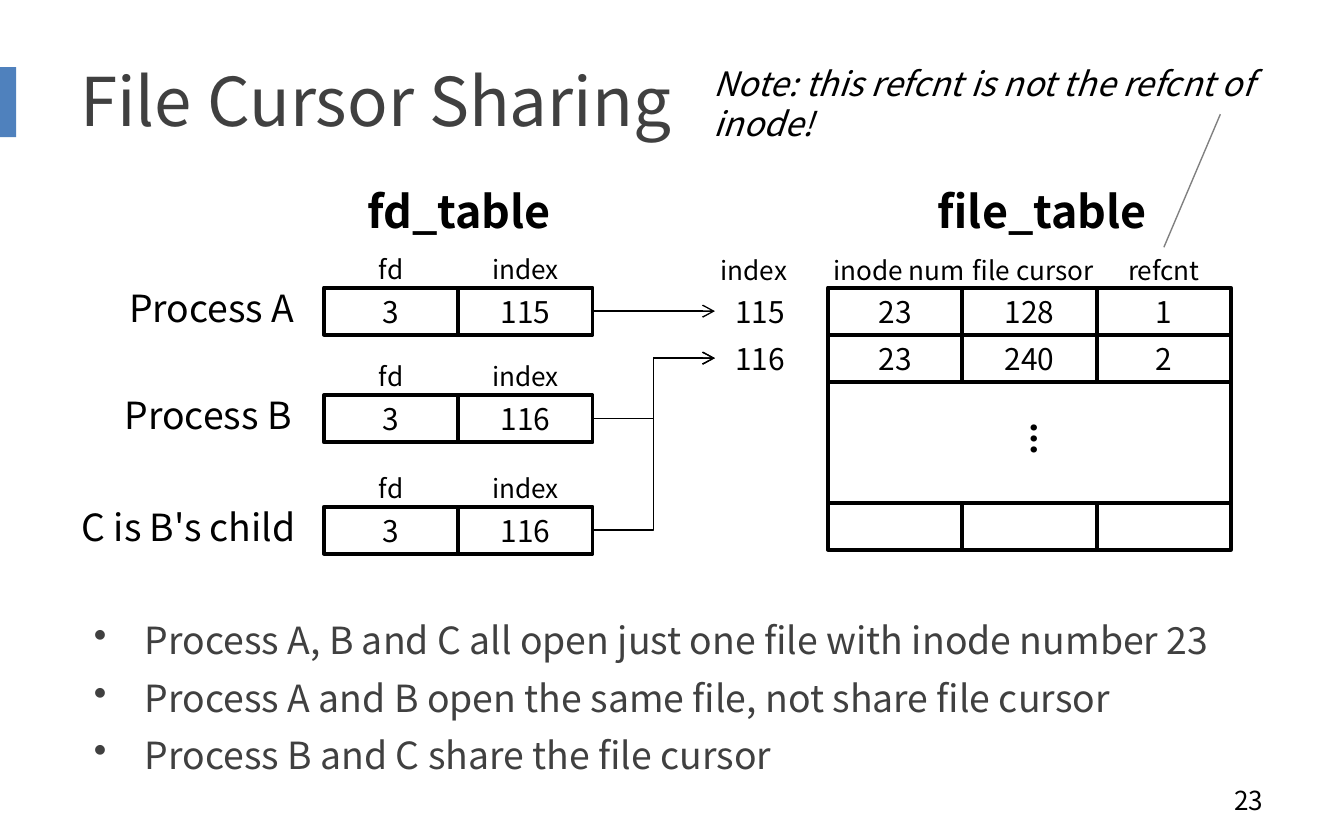
from lxml.etree import SubElement
from pptx import Presentation
from pptx.dml.color import RGBColor
from pptx.enum.shapes import MSO_CONNECTOR, MSO_SHAPE
from pptx.enum.text import MSO_ANCHOR, PP_ALIGN
from pptx.oxml.ns import qn
from pptx.util import Inches, Pt

BLACK = RGBColor(0x00, 0x00, 0x00)
DARK = RGBColor(0x40, 0x40, 0x40)
GRAY = RGBColor(0x80, 0x80, 0x80)
BLUE = RGBColor(0x4F, 0x81, 0xBD)
LEFT, CENTER, RIGHT = PP_ALIGN.LEFT, PP_ALIGN.CENTER, PP_ALIGN.RIGHT

WIDTH, HEIGHT = Inches(10), Inches(6.25)
COLUMNS, ROWS = 10, 25      # slide grid
CELL_W, CELL_H = 1, 1.4     # one table cell, in columns and rows
HEADER_H = 1.36


class Diagram:
    """Holds the style and the slide; lengths are grid columns and rows."""

    font = "Noto Sans CJK SC"

    def __init__(self, slide):
        self.slide = slide

    def place(self, col, row):
        return round(col * WIDTH / COLUMNS), round(row * HEIGHT / ROWS)

    def box(self, col, row, cols, rows):
        return *self.place(col, row), *self.place(cols, rows)

    def set_text(self, paragraph, text, align=LEFT, **formats):
        paragraph.text = text
        paragraph.alignment = align
        style = {"name": self.font, "size": Pt(16)} | formats
        color = style.pop("color", BLACK)
        for name, value in style.items():
            setattr(paragraph.font, name, value)
        paragraph.font.color.rgb = color

    def text(self, text, col, row, cols, rows, size, align=LEFT,
             anchor=MSO_ANCHOR.TOP, **formats):
        area = self.slide.shapes.add_textbox(*self.box(col, row, cols, rows))
        area.text_frame.word_wrap = True
        area.text_frame.vertical_anchor = anchor
        self.set_text(area.text_frame.paragraphs[0], text, align, size=Pt(size), **formats)
        return area

    def bullets(self, lines, col, row, cols, rows):
        area = self.slide.shapes.add_textbox(*self.box(col, row, cols, rows))
        frame = area.text_frame
        frame.word_wrap = True
        for number, line in enumerate(lines):
            paragraph = frame.add_paragraph() if number else frame.paragraphs[0]
            properties = paragraph._p.get_or_add_pPr()
            properties.set("marL", str(Inches(0.38)))
            properties.set("indent", str(-Inches(0.38)))
            SubElement(properties, qn("a:buChar"), char="•")
            if number:
                paragraph.space_before = Pt(7)
            self.set_text(paragraph, line, size=Pt(20), color=DARK)

    def rectangle(self, col, row, cols, rows, text="", fill=None, border=None):
        shape = self.slide.shapes.add_shape(
            MSO_SHAPE.RECTANGLE, *self.box(col, row, cols, rows))
        shape.shadow.inherit = False
        if fill is None:
            shape.fill.background()
        else:
            shape.fill.solid()
            shape.fill.fore_color.rgb = fill
        if border is None:
            shape.line.fill.background()
        else:
            shape.line.color.rgb = border
            shape.line.width = Pt(2)
        if text:
            shape.text_frame.vertical_anchor = MSO_ANCHOR.MIDDLE
            self.set_text(shape.text_frame.paragraphs[0], text, CENTER)
        return shape

    def cells(self, values, col, row):
        return [self.rectangle(col + i * CELL_W, row, CELL_W, CELL_H, value, border=BLACK)
                for i, value in enumerate(values)]

    def connector(self, kind, start, end, color, width):
        line = self.slide.shapes.add_connector(kind, *self.place(*start), *self.place(*end))
        line.line.color.rgb = color
        line.line.width = Pt(width)
        SubElement(line._element.spPr, qn("a:effectLst"))
        return line

    def line(self, start, end, color, width):
        return self.connector(MSO_CONNECTOR.STRAIGHT, start, end, color, width)

    def arrow(self, source, target):
        arrow = self.connector(MSO_CONNECTOR.ELBOW, (0, 0), (1, 1), BLACK, 0.75)
        arrow.begin_connect(source, 3)
        arrow.end_connect(target, 1)
        SubElement(arrow._element.spPr.get_or_add_ln(), qn("a:tailEnd"), type="arrow")


def main():
    deck = Presentation()
    deck.slide_width, deck.slide_height = WIDTH, HEIGHT
    diagram = Diagram(deck.slides.add_slide(deck.slide_layouts[6]))

    # Title, accent bar and slide number
    diagram.rectangle(-0.06, 2, 0.18, 2.08, fill=BLUE)
    diagram.text("File Cursor Sharing", 0.5, 1, 9, 3.92, 36,
                 anchor=MSO_ANCHOR.MIDDLE, color=DARK)
    diagram.text("23", 7.17, 23.16, 2.33, 1.32, 14, RIGHT, MSO_ANCHOR.MIDDLE)

    # Table names
    for name, col in (("fd_table", 2.08), ("file_table", 6.42)):
        diagram.text(name, col, 5.26, 2.67, 2, 24, CENTER, bold=True)

    # Open file table: header, filled rows, gap and last row
    file_col, top = 6.16, 8.56
    last_row = top + 6.4
    file_rows = {"115": ("23", "128", "1"), "116": ("23", "240", "2")}
    for header, col, cols, align in (("index", 5.23, 0.76, CENTER),
                                     ("inode num", 6.1, 1.22, LEFT),
                                     ("file cursor", 7.14, 1.18, LEFT),
                                     ("refcnt", 8.07, 1.18, CENTER)):
        diagram.text(header, col, top - 1.2, cols, HEADER_H, 14, align)
    entries = {}
    for i, (index, values) in enumerate(file_rows.items()):
        row = top + i * CELL_H
        entries[index] = diagram.rectangle(5.32, row, 0.67, CELL_H, index)
        diagram.cells(values, file_col, row)
    diagram.cells(("", "", ""), file_col, last_row)
    for col in (file_col, file_col + 3 * CELL_W):
        diagram.line((col, top + 2 * CELL_H), (col, last_row), BLACK, 2)
    diagram.text("...", 7.53, 12.36, 0.49, 1.6, 18, bold=True).rotation = 90

    # Descriptor table of each process, with an arrow to its file entry
    fd_col = 2.41
    for process, index, row, right in (("Process A", "115", top, 2.29),
                                       ("Process B", "116", 11.76, 2.27),
                                       ("C is B's child", "116", 15.08, 2.3)):
        diagram.text(process, right - 1.97, row - 0.28, 1.97, 1.76, 20, RIGHT)
        for i, header in enumerate(("fd", "index")):
            diagram.text(header, fd_col + 0.12 + i * CELL_W, row - 1.22,
                         0.76, HEADER_H, 14, CENTER)
        index_cell = diagram.cells(("3", index), fd_col, row)[-1]
        diagram.arrow(index_cell, entries[index])

    # Note on the reference count
    diagram.text("Note: this refcnt is not the refcnt of inode!",
                 5.21, 1.68, 4.72, 1.6, 18, italic=True)
    diagram.line((9.08, 3.4), (8.66, 7.36), GRAY, 0.75)

    # Conclusions
    diagram.bullets(("Process A, B and C all open just one file with inode number 23",
                     "Process A and B open the same file, not share file cursor",
                     "Process B and C share the file cursor"),
                    0.6, 18.16, 9.08, 5.16)

    deck.save("out.pptx")


if __name__ == "__main__":
    main()
